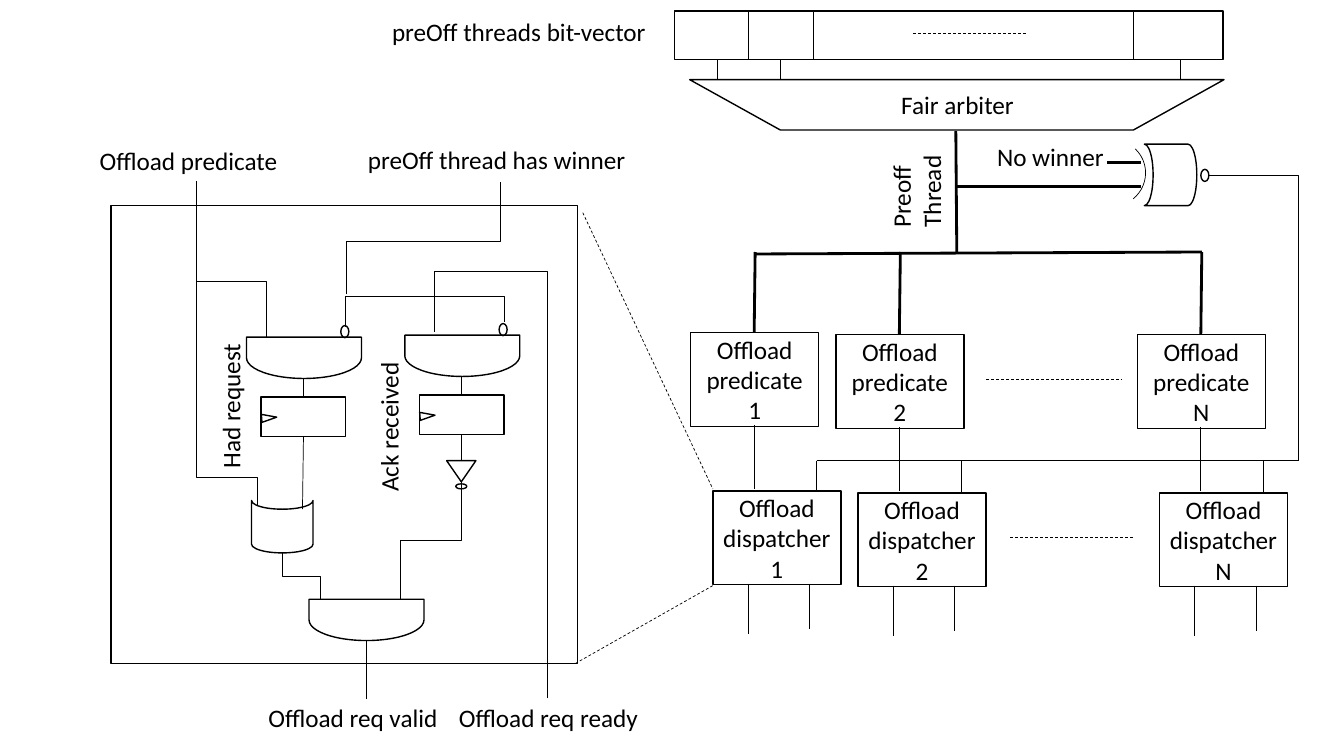
from dataclasses import dataclass
from lxml.etree import SubElement
from pptx import Presentation
from pptx.dml.color import RGBColor
from pptx.enum.dml import MSO_LINE
from pptx.enum.shapes import MSO_CONNECTOR, MSO_SHAPE
from pptx.enum.text import MSO_ANCHOR, PP_ALIGN
from pptx.oxml.ns import qn
from pptx.util import Inches, Pt

COLORS = {"ink": "000000", "paper": "FFFFFF"}
THIN, OUTLINE, BUS = 0.5, 1, 2


def rgb(name):
    return RGBColor.from_string(COLORS[name])


def write(shape, text, align):
    tf = shape.text_frame
    tf.word_wrap = True
    p = tf.paragraphs[0]
    p.text = text
    p.alignment = align
    p.font.name, p.font.size = "Calibri", Pt(18)
    p.font.color.rgb = rgb("ink")
    return tf


@dataclass
class Region:
    """Places shapes in inches, measured from the corner (x, y)."""
    s: object
    x: float
    y: float

    def shape(self, kind, x, y, w, h, rot=0, line=OUTLINE, text=None, fill=None):
        sp = self.s.shapes.add_shape(kind, Inches(self.x + x), Inches(self.y + y),
                                     Inches(w), Inches(h))
        sp.shadow.inherit = False
        sp.rotation = rot
        sp.line.color.rgb = rgb("ink")
        sp.line.width = Pt(line)
        if fill:
            sp.fill.solid()
            sp.fill.fore_color.rgb = rgb(fill)
        else:
            sp.fill.background()
        if text:
            tf = write(sp, text, PP_ALIGN.CENTER)
            tf.vertical_anchor = MSO_ANCHOR.MIDDLE
            tf.margin_left = tf.margin_right = Inches(0.09)
        return sp

    def label(self, text, x, y, w, h=0.4, rot=0, align=PP_ALIGN.LEFT):
        sp = self.s.shapes.add_textbox(Inches(self.x + x), Inches(self.y + y),
                                       Inches(w), Inches(h))
        sp.rotation = rot
        write(sp, text, align)

    def line(self, x1, y1, x2, y2, width=THIN, dash=False, kind=MSO_CONNECTOR.STRAIGHT):
        c = self.s.shapes.add_connector(kind, Inches(self.x + x1), Inches(self.y + y1),
                                        Inches(self.x + x2), Inches(self.y + y2))
        c.line.color.rgb = rgb("ink")
        c.line.width = Pt(width)
        if dash:
            c.line.dash_style = MSO_LINE.DASH
        SubElement(c._element.spPr, qn("a:effectLst"))
        return c

    def elbow(self, x1, y1, x2, y2, turn_x=None, turn_y=None):
        """Wire that turns at turn_x (leaves sideways) or turn_y (leaves up or down)."""
        if turn_y is None:
            c = self.line(x1, y1, x2, y2, kind=MSO_CONNECTOR.ELBOW)
            adj = (turn_x - x1) / (x2 - x1)
        else:
            dx, dy = x2 - x1, y2 - y1
            cx, cy, w, h = (x1 + x2) / 2, (y1 + y2) / 2, abs(dy) / 2, abs(dx) / 2
            c = self.line(cx - w, cy - h, cx + w, cy + h, kind=MSO_CONNECTOR.ELBOW)
            xfrm = c._element.spPr.find(qn("a:xfrm"))
            xfrm.set("rot", str((90 if dx * dy < 0 else 270) * 60000))
            xfrm.set("flipH", str(int(dx > 0)))
            xfrm.set("flipV", str(int(dy < 0)))
            adj = (turn_y - y1) / dy
        guides = c._element.spPr.find(qn("a:prstGeom")).find(qn("a:avLst"))
        SubElement(guides, qn("a:gd"), name="adj1", fmla=f"val {round(adj * 100000)}")


def and_gate(r, x, y, fill=None):
    r.shape(MSO_SHAPE.FLOWCHART_DELAY, x, y, 0.41, 1.14, 90, fill=fill)


def bubble(r, x, y):
    r.shape(MSO_SHAPE.OVAL, x, y, 0.08, 0.12)


def latch(s, x, y, text, label_y):
    """Register with its clock mark, the AND gate above it and a side label."""
    r = Region(s, x, y)
    r.shape(MSO_SHAPE.RECTANGLE, 0, 0, 0.84, 0.39)
    r.shape(MSO_SHAPE.ISOSCELES_TRIANGLE, 0.04, 0.13, 0.08, 0.15, 85.6)
    and_gate(r, 0.22, -0.96)
    bubble(r, 0.79, -0.71)
    r.line(0.42, -0.18, 0.42, 0)
    r.label(text, -1.09, label_y, 1.57, rot=270)


def dispatcher_detail(s, x, y):
    r = Region(s, x, y)
    r.shape(MSO_SHAPE.RECTANGLE, 0, 0, 4.63, 4.54)
    latch(s, x + 1.49, y + 1.9, "Had request", -0.18)
    latch(s, x + 3.06, y + 1.88, "Ack received", 0.07)
    # Inverter, OR gate and output gate
    r.shape(MSO_SHAPE.FLOWCHART_EXTRACT, 3.33, 2.53, 0.29, 0.21, 180)
    r.shape(MSO_SHAPE.OVAL, 3.42, 2.76, 0.11, 0.05)
    r.shape(MSO_SHAPE.FLOWCHART_STORED_DATA, 1.44, 2.88, 0.52, 0.61, 270)
    and_gate(r, 2.33, 3.54, fill="paper")
    # Wires
    r.line(1.91, 2.29, 1.9, 3.01)
    r.line(3.48, 2.27, 3.48, 2.53)
    r.line(2.53, 4.32, 2.53, 4.89)
    r.elbow(0.85, 0.75, 1.52, 1.31, turn_x=1.54)
    for x1, y1, x2, y2, turn in [
        (0.85, -0.24, 1.45, 2.97, 2.7), (4.33, 4.89, 3.21, 1.25, 0.65),
        (2.32, 1.2, 3.9, 1.15, 0.9), (1.7, 3.44, 2.08, 3.91, 3.68),
        (3.48, 2.74, 2.87, 3.91, 3.32), (3.86, -0.23, 2.33, 0.88, 0.35),
    ]:
        r.elbow(x1, y1, x2, y2, turn_y=turn)
    # Signal names
    r.label("Offload predicate", -0.21, -0.65, 2.17)
    r.label("preOff thread has winner", 2.45, -0.66, 2.99)
    r.label("Offload req valid", 1.39, 4.88, 2.02, align=PP_ALIGN.CENTER)
    r.label("Offload req ready", 3.22, 4.88, 2.24, align=PP_ALIGN.CENTER)
    # Zoom lines to the first dispatcher
    r.line(4.68, 0.07, 5.97, 2.81, dash=True)
    r.line(5.97, 3.77, 4.61, 4.54, dash=True)


def arbiter(s, x, y):
    r = Region(s, x, y)
    # Bit-vector
    r.label("preOff threads bit-vector", -2.9, 0, 3.46)
    r.shape(MSO_SHAPE.RECTANGLE, 0, 0, 5.44, 0.48)
    for cell in (0.73, 1.38, 4.55):
        r.line(cell, 0, cell, 0.48)
    for tap in (0.43, 1.05, 5.02):
        r.line(tap, 0.49, tap, 0.68)
    r.line(2.37, 0.22, 3.49, 0.22, dash=True)
    # Fair arbiter and its bus
    trapezoid = r.shape(MSO_SHAPE.TRAPEZOID, 0.15, 0.68, 5.3, 0.5, 180)
    trapezoid.adjustments[0] = 1.8
    r.label("Fair arbiter", 2.15, 0.73, 1.49)
    r.label("Preoff Thread", 1.87, 1.36, 1.06, 0.71, rot=270)
    r.line(2.79, 1.19, 2.8, 2.41, BUS)
    r.line(0.79, 2.41, 5.23, 2.39, BUS)
    # No-winner gate
    r.label("No winner", 3.1, 1.24, 1.32)
    r.shape(MSO_SHAPE.FLOWCHART_STORED_DATA, 4.66, 1.32, 0.52, 0.61, 180)
    arc = r.shape(MSO_SHAPE.ARC, 4.02, 1.28, 0.65, 0.66, 37.4, THIN)
    arc.adjustments[0], arc.adjustments[1] = 165.26, 8.18
    bubble(r, 5.22, 1.57)
    r.line(2.8, 1.74, 4.63, 1.74, BUS)
    r.line(4.29, 1.5, 4.63, 1.5, BUS)
    r.elbow(5.29, 1.63, 6.19, 4.46, turn_x=6.19)
    r.line(1.41, 4.46, 6.19, 4.46)


def offload_column(s, x, y, name, bus_y, winner_y):
    """Predicate over dispatcher; bus_y and winner_y are slide heights."""
    r = Region(s, x, y)
    r.shape(MSO_SHAPE.RECTANGLE, 0, 0, 1.27, 0.93, text=f"Offload predicate {name}")
    r.shape(MSO_SHAPE.RECTANGLE, 0.22, 1.57, 1.27, 0.93, text=f"Offload dispatcher {name}")
    r.line(0.64, bus_y - y, 0.63, 0, BUS)
    r.line(0.63, 0.92, 0.63, 1.55)
    r.line(1.25, winner_y - y, 1.25, 1.57)
    r.line(0.57, 2.49, 0.57, 2.99)
    r.line(1.18, 2.49, 1.18, 2.94)


prs = Presentation()
prs.slide_width, prs.slide_height = Inches(13.33), Inches(7.5)
s = prs.slides.add_slide(prs.slide_layouts[6])

dispatcher_detail(s, 1.1, 2.04)
arbiter(s, 6.69, 0.11)
for x, y, name in [(6.85, 3.3, "1"), (8.29, 3.32, "2"), (11.28, 3.32, "N")]:
    offload_column(s, x, y, name, 2.5, 4.57)

# Dashes between columns 2 and N
gaps = Region(s, 9.78, 3.76)
gaps.line(0, 0, 1.35, 0, dash=True)
gaps.line(0.24, 1.57, 1.46, 1.57, dash=True)

prs.save("out.pptx")
